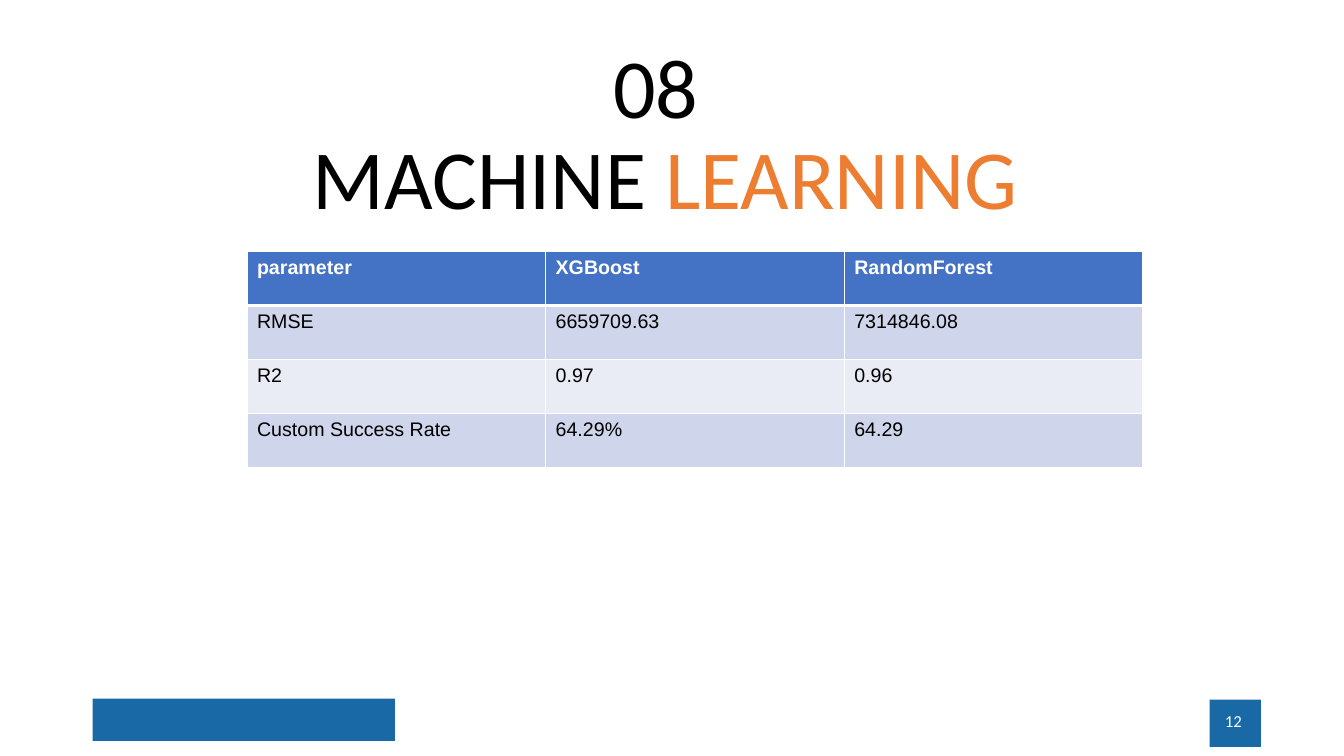
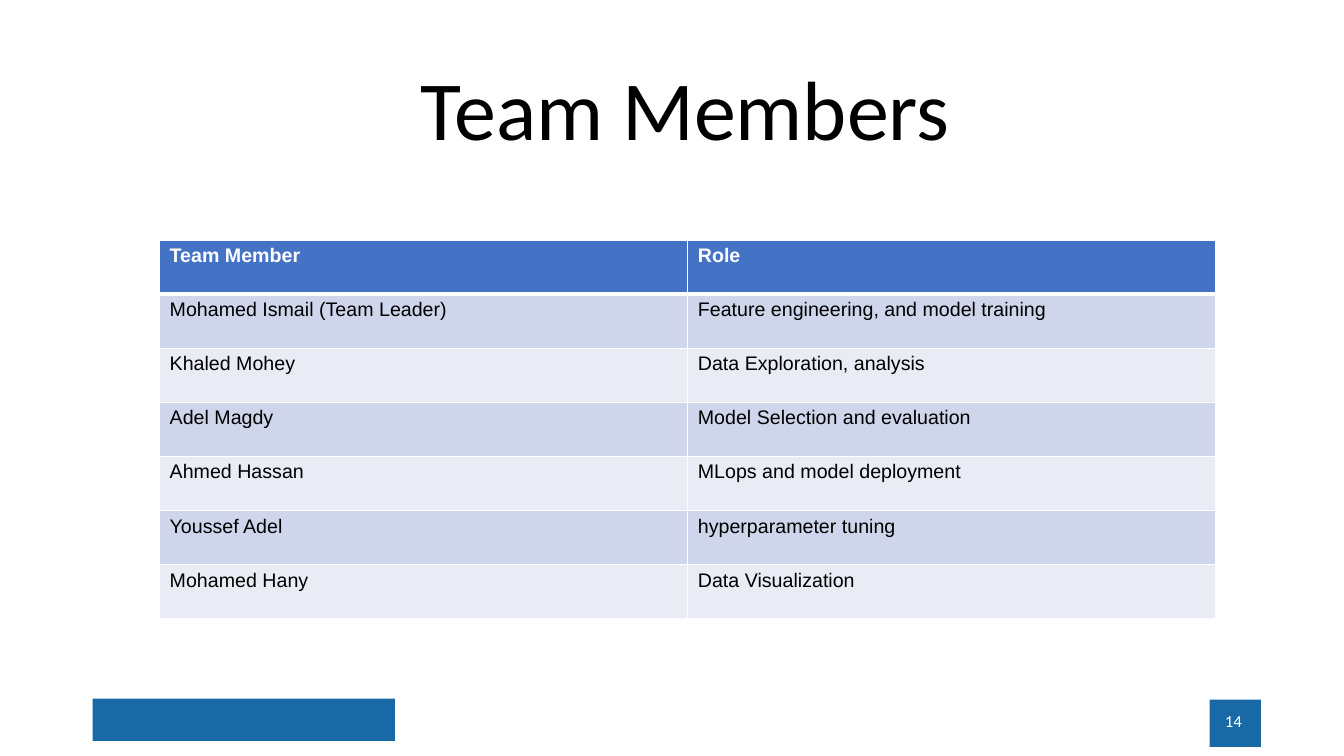
from pptx import Presentation
from pptx.dml.color import RGBColor
from pptx.enum.shapes import MSO_SHAPE as Shape
from pptx.enum.text import MSO_ANCHOR as Anchor, MSO_AUTO_SIZE as AutoSize, PP_ALIGN as Align
from pptx.oxml import parse_xml
from pptx.oxml.ns import nsdecls
from pptx.util import Pt

BLACK = RGBColor(0x00, 0x00, 0x00)
WHITE = RGBColor(0xFF, 0xFF, 0xFF)
ORANGE = RGBColor(0xED, 0x7D, 0x31)
BAND_BLUE = RGBColor(0x18, 0x69, 0xA6)
HEADER_BLUE = RGBColor(0x44, 0x72, 0xC4)
ROW_FILLS = [RGBColor(0xCF, 0xD5, 0xEA), RGBColor(0xE9, 0xEB, 0xF5)]

# Content: title lines hold (text, colour) runs; boxes are in points
SLIDES = [
    {
        "number": "12",
        "title": [[("08 ", BLACK)], [("MACHINE ", BLACK), ("LEARNING", ORANGE)]],
        "title_left": 115.2,
        "title_bottom": 166.3,
        "table_box": (176.4, 179.6, 640),
        "rows": [
            ("parameter", "XGBoost", "RandomForest"),
            ("RMSE", "6659709.63", "7314846.08"),
            ("R2", "0.97", "0.96"),
            ("Custom Success Rate", "64.29%", "64.29"),
        ],
    },
    {
        "number": "14",
        "title": [[("Team Members", BLACK)]],
        "title_left": 129.6,
        "title_bottom": 116.6,
        "table_box": (114, 171.5, 754.6),
        "rows": [
            ("Team Member", "Role"),
            ("Mohamed Ismail (Team Leader)", "Feature engineering, and model training"),
            ("Khaled Mohey", "Data Exploration, analysis"),
            ("Adel Magdy", "Model Selection and evaluation"),
            ("Ahmed Hassan", "MLops and model deployment"),
            ("Youssef Adel", "hyperparameter tuning"),
            ("Mohamed Hany", "Data Visualization"),
        ],
    },
]

# Shared layout
TITLE_WIDTH = 720
ROW_HEIGHT = 38.6
BANDS = [(66.2, 499, 216, 30.2), (864, 499.7, 36.7, 33.8)]
NUMBER_BOX = (678.2, 500.4, 216, 28.8)
TITLE_FONT = {"name": "Calibri", "size": Pt(60)}
NUMBER_FONT = {"name": "Calibri", "size": Pt(12)}
CELL_FONT = {"name": "Arial", "size": Pt(14)}


def points(box):
    return [Pt(value) for value in box]


def add_run(paragraph, text, colour, font_format):
    run = paragraph.add_run()
    run.text = text
    run.font.color.rgb = colour
    for name, value in font_format.items():
        setattr(run.font, name, value)


def set_title(slide, content):
    title = slide.shapes.title
    title.left, title.top, title.width, title.height = points(
        (content["title_left"], 0, TITLE_WIDTH, content["title_bottom"]))
    frame = title.text_frame
    frame.auto_size = AutoSize.NONE
    frame.word_wrap = True
    frame.vertical_anchor = Anchor.BOTTOM
    paragraph = frame.paragraphs[0]
    paragraph.alignment = Align.CENTER
    paragraph.line_spacing = 0.9
    for index, line in enumerate(content["title"]):
        if index:
            paragraph.add_line_break()
        for text, colour in line:
            add_run(paragraph, text, colour, TITLE_FONT)


def add_footer(slide, number):
    for box in BANDS:
        band = slide.shapes.add_shape(Shape.RECTANGLE, *points(box))
        band.shadow.inherit = False
        band.fill.solid()
        band.fill.fore_color.rgb = BAND_BLUE
        band.line.fill.background()
    frame = slide.shapes.add_textbox(*points(NUMBER_BOX)).text_frame
    frame.word_wrap = True
    frame.vertical_anchor = Anchor.MIDDLE
    paragraph = frame.paragraphs[0]
    paragraph.alignment = Align.RIGHT
    add_run(paragraph, number, WHITE, NUMBER_FONT)


def set_borders(cell, widths):
    properties = cell._tc.get_or_add_tcPr()
    for side, width in widths.items():
        properties.append(parse_xml(
            f'<a:ln{side} {nsdecls("a")} w="{Pt(width)}"><a:solidFill>'
            f'<a:srgbClr val="{WHITE}"/></a:solidFill></a:ln{side}>'))


def add_table(slide, rows, box):
    left, top, width = box
    frame = slide.shapes.add_table(
        len(rows), len(rows[0]), *points((left, top, width, ROW_HEIGHT * len(rows))))
    table = frame.table
    for column in table.columns:
        column.width = Pt(width / len(rows[0]))
    for row_index, row in enumerate(rows):
        table.rows[row_index].height = Pt(ROW_HEIGHT)
        header = row_index == 0
        # The line under the header is thicker than the others
        borders = {"L": 1, "R": 1, "T": 3 if row_index == 1 else 1, "B": 3 if header else 1}
        for column_index, text in enumerate(row):
            cell = table.cell(row_index, column_index)
            set_borders(cell, borders)
            cell.fill.solid()
            cell.fill.fore_color.rgb = HEADER_BLUE if header else ROW_FILLS[(row_index - 1) % 2]
            add_run(cell.text_frame.paragraphs[0], text, WHITE if header else BLACK,
                    {**CELL_FONT, "bold": header})


def main():
    presentation = Presentation()
    presentation.slide_width, presentation.slide_height = Pt(960), Pt(540)
    title_only = presentation.slide_layouts[5]
    for content in SLIDES:
        slide = presentation.slides.add_slide(title_only)
        add_footer(slide, content["number"])
        set_title(slide, content)
        add_table(slide, content["rows"], content["table_box"])
    presentation.save("out.pptx")


if __name__ == "__main__":
    main()
